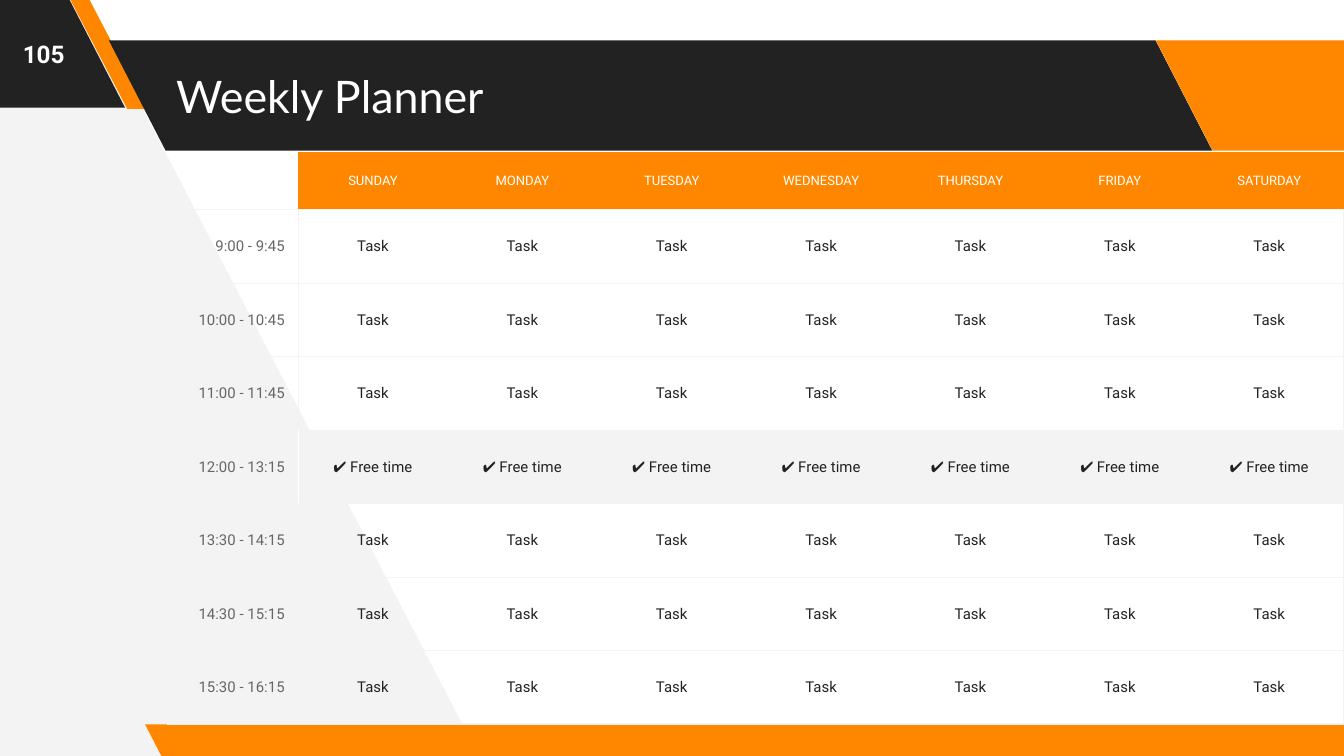
from lxml import etree
from pptx import Presentation
from pptx.dml.color import RGBColor
from pptx.enum.shapes import MSO_SHAPE
from pptx.enum.text import MSO_ANCHOR, MSO_AUTO_SIZE, PP_ALIGN
from pptx.oxml.ns import qn
from pptx.util import Inches, Pt

PARALLELOGRAM = MSO_SHAPE.PARALLELOGRAM
MIDDLE = MSO_ANCHOR.MIDDLE
NO_AUTOFIT = MSO_AUTO_SIZE.NONE
LEFT, CENTER, RIGHT = PP_ALIGN.LEFT, PP_ALIGN.CENTER, PP_ALIGN.RIGHT
DARK, ORANGE, PALE, GREY, WHITE = "222222", "FF8700", "F3F3F3", "666666", "FFFFFF"
NO_STYLE = "{2D5ABB26-0587-4C30-8999-92F81FD0307C}"


def write(holder, text, size, color, align, font="Roboto", bold=False):
    """Put one formatted line in a shape or cell, centred vertically."""
    holder.text_frame.text = text
    holder.vertical_anchor = holder.text_frame.vertical_anchor = MIDDLE
    paragraph = holder.text_frame.paragraphs[0]
    paragraph.alignment = align
    run_font = paragraph.runs[0].font
    run_font.name, run_font.size, run_font.bold = font, Pt(size), bold
    run_font.color.rgb = RGBColor.from_string(color)
    margins = holder if hasattr(holder, "margin_left") else holder.text_frame
    margins.margin_left = margins.margin_right = Inches(0.1)
    margins.margin_top = margins.margin_bottom = Inches(0.1)


def set_borders(cell, **colors):
    """Draw the named sides (L, R, T, B) of a cell and clear the others."""
    properties = cell._tc.get_or_add_tcPr()
    for side in "LRTB":
        line = etree.SubElement(properties, qn("a:ln" + side), w=str(Pt(0.75)))
        if colors.get(side):
            fill = etree.SubElement(line, qn("a:solidFill"))
            etree.SubElement(fill, qn("a:srgbClr"), val=colors[side])
        else:
            etree.SubElement(line, qn("a:noFill"))


prs = Presentation()
prs.slide_width = Inches(10)
prs.slide_height = prs.slide_width * 9 // 16
slide = prs.slides.add_slide(prs.slide_layouts[5])
shapes = slide.shapes

# Slanted background and bands
outline = shapes.build_freeform(Inches(3.56), Inches(5.62), scale=1.0)
outline.add_line_segments(
    [(Inches(x), Inches(y)) for x, y in [(0.62, -0.04), (-0.06, -0.04), (-0.02, 5.66)]]
)
backdrop = outline.convert_to_shape()
backdrop.shadow.inherit = False
backdrop.fill.solid()
backdrop.fill.fore_color.rgb = RGBColor.from_string(PALE)
backdrop.line.fill.background()

bands = [
    (-0.99, -0.02, 1.92, 0.82, 0.515, DARK),
    (0.52, -0.01, 0.57, 0.82, 0.75, ORANGE),
    (0.81, 0.3, 8.21, 0.82, 0.515, DARK),
    (8.6, 0.3, 1.92, 0.82, 0.515, ORANGE),
    (1.08, 5.39, 9.15, 0.25, 0.515, ORANGE),
]
for left, top, width, height, slant, color in bands:
    band = shapes.add_shape(
        PARALLELOGRAM, Inches(left), Inches(top), Inches(width), Inches(height)
    )
    band.adjustments[0] = slant
    band._element.spPr.find(qn("a:xfrm")).set("flipH", "1")
    band.shadow.inherit = False
    band.fill.solid()
    band.fill.fore_color.rgb = RGBColor.from_string(color)
    band.line.fill.background()

# Title, brought in front of the bands, and page number
title = shapes.title
shapes._spTree.append(title._element)
title.left, title.top = Inches(1.21), Inches(0.3)
title.width, title.height = Inches(7.35), Inches(0.82)
write(title, "Weekly Planner", 24, WHITE, LEFT, "Lato")
title.text_frame.auto_size = NO_AUTOFIT

page_number = shapes.add_textbox(0, 0, Inches(0.65), Inches(0.8))
page_number.text_frame.word_wrap = True
write(page_number, "105", 13, WHITE, CENTER, bold=True)

# Planner table
days = ["SUNDAY", "MONDAY", "TUESDAY", "WEDNESDAY", "THURSDAY", "FRIDAY", "SATURDAY"]
hours = ["9:00 - 9:45", "10:00 - 10:45", "11:00 - 11:45", "12:00 - 13:15",
         "13:30 - 14:15", "14:30 - 15:15", "15:30 - 16:15"]
BREAK_HOUR = "12:00 - 13:15"
planner = shapes.add_table(
    len(hours) + 1, len(days) + 1, Inches(1.25), Inches(1.13), Inches(8.75), Inches(4.26)
).table
planner.first_row = planner.horz_banding = False
planner._tbl.tblPr.find(qn("a:tableStyleId")).text = NO_STYLE

for index, column in enumerate(planner.columns):
    column.width = Inches(7.78 / len(days)) if index else Inches(0.97)
for index, row in enumerate(planner.rows):
    row.height = Inches(3.83 / len(hours)) if index else Inches(0.43)

corner = planner.cell(0, 0)
set_borders(corner, B=PALE)
corner.fill.background()

for column, day in enumerate(days, start=1):
    header = planner.cell(0, column)
    write(header, day, 7, WHITE, CENTER)
    set_borders(header, B=PALE)
    header.fill.solid()
    header.fill.fore_color.rgb = RGBColor.from_string(ORANGE)

for row, hour in enumerate(hours, start=1):
    is_break = hour == BREAK_HOUR
    divider = WHITE if is_break else PALE
    activity = "✔ Free time" if is_break else "Task"
    for column in range(len(days) + 1):
        slot = planner.cell(row, column)
        if column == 0:
            write(slot, hour, 8, GREY, RIGHT)
            set_borders(slot, L=PALE, R=divider, T=PALE, B=PALE)
        else:
            write(slot, activity, 8, DARK, CENTER)
            set_borders(slot, T=PALE, B=PALE,
                        L=divider if column == 1 else None,
                        R=PALE if column == len(days) else None)
        if is_break:
            slot.fill.solid()
            slot.fill.fore_color.rgb = RGBColor.from_string(PALE)
        else:
            slot.fill.background()

prs.save("out.pptx")
